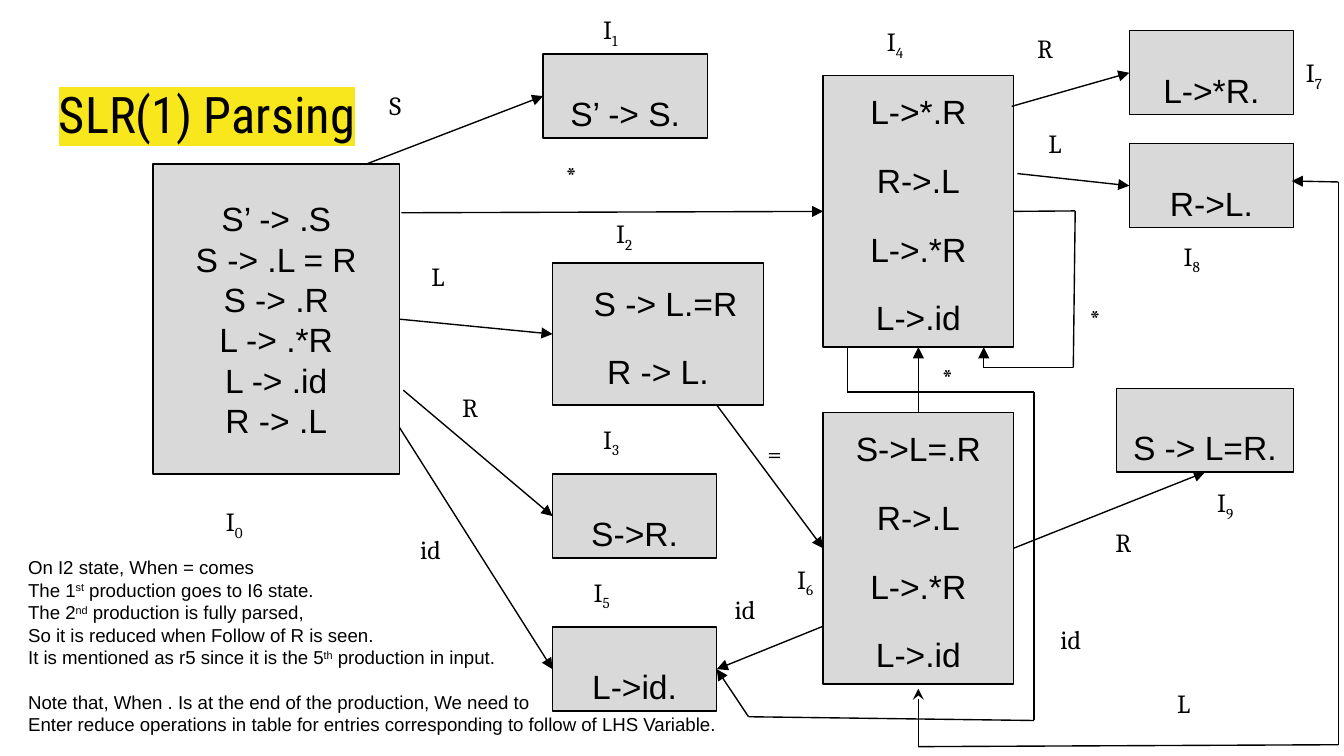
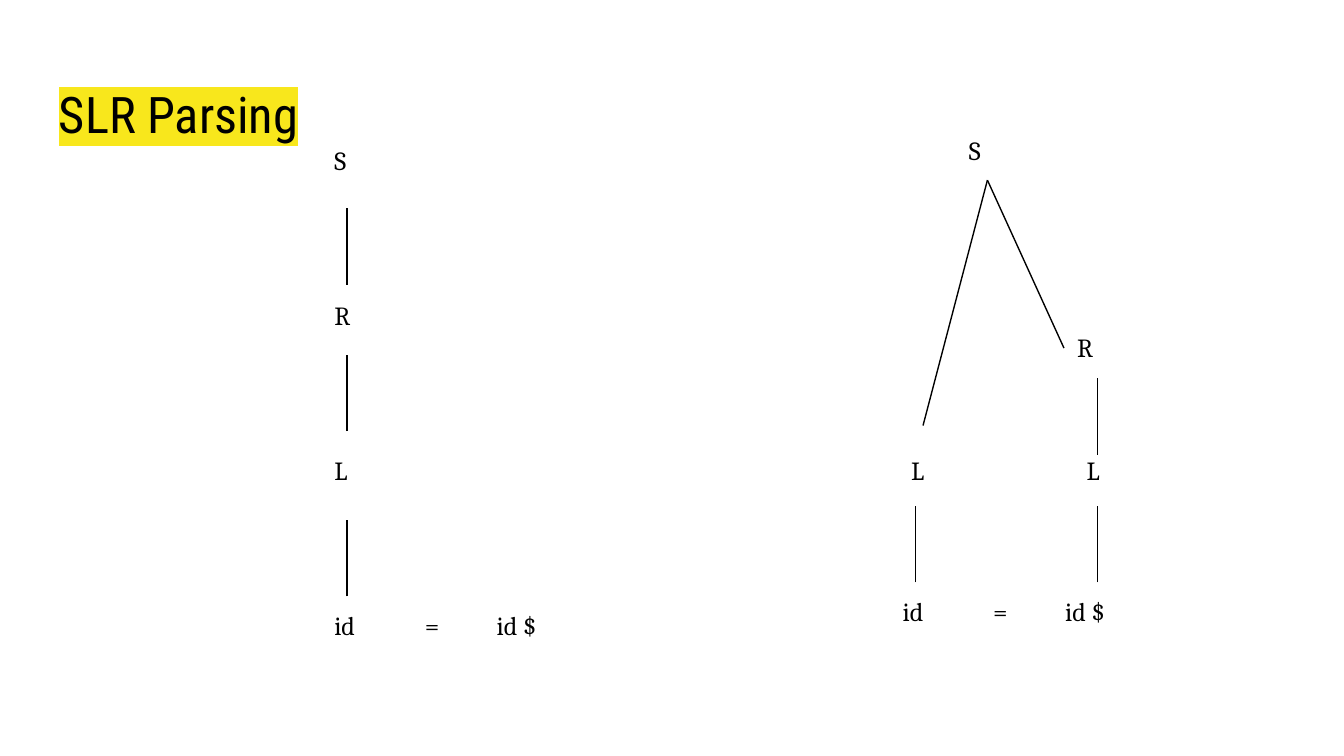
from lxml.etree import SubElement
from pptx import Presentation
from pptx.dml.color import RGBColor
from pptx.enum.shapes import MSO_CONNECTOR as Connector, MSO_SHAPE as Preset
from pptx.enum.text import MSO_ANCHOR as Anchor, MSO_AUTO_SIZE as AutoSize, PP_ALIGN as Align
from pptx.oxml.ns import qn
from pptx.util import Pt

COLORS = {"ink": "000000", "state": "D9D9D9", "highlight": "F8E71C"}
TITLE, BODY, SERIF = "Roboto Condensed", "Arial", "Cambria"
TOP, LEFT, BOTTOM, RIGHT = range(4)
INSET = 7.2


def color(name):
    return RGBColor.from_string(COLORS[name])


class Deck:
    """Shared style and the slide being drawn."""

    def __init__(self):
        self.presentation = Presentation()
        self.presentation.slide_width = Pt(720)
        self.presentation.slide_height = Pt(405)
        self.slide = None

    def new_slide(self, title):
        self.slide = self.presentation.slides.add_slide(self.presentation.slide_layouts[6])
        frame = self.text_box(24.5, 35.5, 671, 45)
        frame.margin_top = Pt(9)
        run = self.run(frame.paragraphs[0], title, 27, TITLE)
        fill = run.font._element.find(qn("a:solidFill"))
        highlight = SubElement(run.font._element, qn("a:highlight"))
        SubElement(highlight, qn("a:srgbClr")).set("val", COLORS["highlight"])
        fill.addnext(highlight)

    def run(self, paragraph, text, size, font, baseline=0):
        run = paragraph.add_run()
        run.text = text
        run.font.size = Pt(size)
        run.font.color.rgb = color("ink")
        run.font.name = font
        if baseline:
            run.font._element.set("baseline", str(baseline * 1000))
        return run

    def set_insets(self, frame, inset=INSET):
        frame.margin_left = frame.margin_right = Pt(inset)
        frame.margin_top = frame.margin_bottom = Pt(inset)

    def text_box(self, left, top, width, height):
        shape = self.slide.shapes.add_textbox(Pt(left), Pt(top), Pt(width), Pt(height))
        frame = shape.text_frame
        frame.word_wrap = True
        self.set_insets(frame)
        return frame

    def label(self, text, left, top, subscript="", width=50, tabs=()):
        frame = self.text_box(left, top, width, 32)
        frame.auto_size = AutoSize.SHAPE_TO_FIT_TEXT
        paragraph = frame.paragraphs[0]
        if tabs:
            stops = SubElement(paragraph._p.get_or_add_pPr(), qn("a:tabLst"))
            for offset in tabs:
                stop = SubElement(stops, qn("a:tab"))
                stop.set("pos", str(Pt(offset)))
                stop.set("algn", "l")
        self.run(paragraph, text, 14, SERIF)
        if subscript:
            self.run(paragraph, subscript, 14, SERIF, -25)

    def explanation(self, left, top, width, height, lines):
        """Each line is a gap above and its runs; every second run is raised."""
        frame = self.text_box(left, top, width, height)
        frame.word_wrap = False
        frame.auto_size = AutoSize.SHAPE_TO_FIT_TEXT
        frame.margin_top = frame.margin_bottom = Pt(3.6)
        for index, (gap, texts) in enumerate(lines):
            paragraph = frame.add_paragraph() if index else frame.paragraphs[0]
            paragraph.space_before = Pt(gap)
            for order, text in enumerate(texts):
                self.run(paragraph, text, 10, BODY, 30 * (order % 2))

    def state(self, left, top, width, height, items, spacing=1.15, gap=12, first_indent=None):
        shape = self.slide.shapes.add_shape(
            Preset.RECTANGLE, Pt(left), Pt(top), Pt(width), Pt(height))
        shape.shadow.inherit = False
        shape.fill.solid()
        shape.fill.fore_color.rgb = color("state")
        shape.line.color.rgb = color("ink")
        shape.line.width = Pt(0.75)
        frame = shape.text_frame
        frame.word_wrap = True
        self.set_insets(frame)
        frame.vertical_anchor = Anchor.MIDDLE
        if len(items) == 1:  # a lone item sits low in its box
            frame.vertical_anchor = Anchor.BOTTOM
            frame.margin_top = frame.margin_bottom = Pt(2.5)
        for index, item in enumerate(items):
            paragraph = frame.add_paragraph() if index else frame.paragraphs[0]
            paragraph.alignment = Align.CENTER
            paragraph.line_spacing = spacing
            if index:
                paragraph.space_before = Pt(gap)
            elif first_indent:
                paragraph.alignment = Align.LEFT
                paragraph._p.get_or_add_pPr().set("marL", str(Pt(first_indent)))
            self.run(paragraph, item, 18, BODY)
        if len(items) > 1:
            frame.paragraphs[-1].space_after = Pt(gap)
        return shape

    def position(self, stop):
        """A stop is either an (x, y) point or a (shape, side) pair."""
        first, second = stop
        if isinstance(first, (int, float)):
            return Pt(first), Pt(second)
        across = {LEFT: 0, RIGHT: first.width}.get(second, first.width // 2)
        down = {TOP: 0, BOTTOM: first.height}.get(second, first.height // 2)
        return first.left + across, first.top + down

    def line(self, start, end, head=None, tail=None):
        connector = self.slide.shapes.add_connector(
            Connector.STRAIGHT, *self.position(start), *self.position(end))
        for stop, join in ((start, connector.begin_connect), (end, connector.end_connect)):
            if not isinstance(stop[0], (int, float)):
                join(*stop)
        connector.line.color.rgb = color("ink")
        connector.line.width = Pt(0.75)
        outline = connector.line._get_or_add_ln()
        for tag, tip in (("a:headEnd", head), ("a:tailEnd", tail)):
            if tip:
                SubElement(outline, qn(tag)).set("type", tip)
        SubElement(connector._element.spPr, qn("a:effectLst"))

    def route(self, *stops, head=None):
        """Straight pieces from stop to stop, ending in an arrowhead."""
        last = len(stops) - 2
        for index, (start, end) in enumerate(zip(stops, stops[1:])):
            self.line(start, end, head if index == 0 else None,
                      "triangle" if index == last else None)


def draw_automaton(deck):
    deck.new_slide("SLR(1) Parsing")

    # States
    small, tall = (88, 45), (102, 145.5)
    i0 = deck.state(82, 88, 132, 166, ["S’ -> .S", "S -> .L = R", "S -> .R",
                                       "L -> .*R", "L -> .id", "R -> .L"], 1.0, 0)
    i1 = deck.state(291, 29, *small, ["S’ -> S."])
    i2 = deck.state(296, 141, 113, 76, ["S -> L.=R", "R -> L."], first_indent=15)
    i3 = deck.state(296, 254, *small, ["S->R."])
    i4 = deck.state(441, 40.5, *tall, ["L->*.R", "R->.L", "L->.*R", "L->.id"])
    i5 = deck.state(296, 336, *small, ["L->id."])
    i6 = deck.state(441, 221, *tall, ["S->L=.R", "R->.L", "L->.*R", "L->.id"])
    i7 = deck.state(605, 16.5, *small, ["L->*R."])
    i8 = deck.state(605, 77, *small, ["R->L."])
    i9 = deck.state(598, 208, 95, 45, ["S -> L=R."])

    # Transitions
    for stops in [
        ((196, 88), (i1, LEFT)),
        ((i0, RIGHT), (i2, LEFT)),
        ((216, 209), (i3, LEFT)),
        ((214, 229), (i5, LEFT)),
        ((215, 114), (i4, LEFT)),
        ((384, 217), (i6, LEFT)),
        ((545, 93), (i8, LEFT)),
        ((542, 57), (i7, LEFT)),
        ((i6, RIGHT), (i9, BOTTOM)),
        ((i6, TOP), (i4, BOTTOM)),
        ((441, 335.5), (i5, RIGHT)),
        ((i4, RIGHT), (576, 113), (575, 197), (527, 197), (527, 186)),
        ((454, 186.5), (454, 210), (554, 210), (554, 386), (401, 384), (i5, RIGHT)),
    ]:
        deck.route(*stops)
    deck.route((492, 369), (492, 400), (717, 399), (717, 97.5), (692, 97), head="stealth")

    # Transition symbols
    for symbol, left, top in [
        ("S", 201.5, 40.5), ("L", 224, 132.5), ("R", 240.5, 202.5), ("id", 218, 278.5),
        ("*", 296, 78), ("=", 404, 227), ("*", 576.5, 155), ("L", 554.5, 61),
        ("id", 561, 327), ("R", 548.5, 10), ("R", 590.5, 275), ("*", 497.5, 186.5),
        ("id", 386.5, 310.5), ("L", 623.5, 361),
    ]:
        deck.label(symbol, left, top)

    # State names
    for number, (left, top) in enumerate([
        (114, 263.5), (316, 0), (323, 109.5), (316, 219.5), (468, 6.5),
        (311, 301.5), (420, 294.5), (692.5, 23), (627, 121.5), (645, 253.5),
    ]):
        deck.label("I", left, top, str(number), width=47.5)

    # Explanation
    deck.explanation(8, 294.5, 386, 104.5, [
        (0, ["On I2 state, When = comes"]),
        (0, ["The 1", "st", " production goes to I6 state."]),
        (0, ["The 2", "nd", " production is fully parsed,"]),
        (0, ["So it is reduced when Follow of R is seen."]),
        (0, ["It is mentioned as r5 since it is the 5", "th", " production in input."]),
        (12, ["Note that, When . Is at the end of the production, We need to"]),
        (0, ["Enter reduce operations in table for entries corresponding to "
             "follow of LHS Variable."]),
    ])


def draw_trees(deck):
    deck.new_slide("SLR Parsing")
    branch = 41

    # Input strings
    for left, top in [(172, 319.5), (476.5, 312)]:
        deck.label("id\t=\tid $", left, top, width=172, tabs=(48.5, 87))

    # Tree nodes
    chain = [(symbol, 172, 70 + 83.2 * row) for row, symbol in enumerate("SRL")]
    for symbol, left, top in chain + [
        ("S", 512, 65), ("R", 570, 170.5), ("L", 481, 236), ("L", 575, 236),
    ]:
        deck.label(symbol, left, top, width=34.5)

    # Upright branches
    for x, top in [(186, 111.5), (186, 190), (186, 278.5),
                   (490.5, 271), (588, 271), (588, 202.5)]:
        deck.line((x, top + branch), (x, top))

    # Slanted branches from the root
    for foot in [(494.5, 228), (570, 186.5)]:
        deck.line(foot, (529, 96.5))


def main():
    deck = Deck()
    draw_automaton(deck)
    draw_trees(deck)
    deck.presentation.save("out.pptx")


if __name__ == "__main__":
    main()
